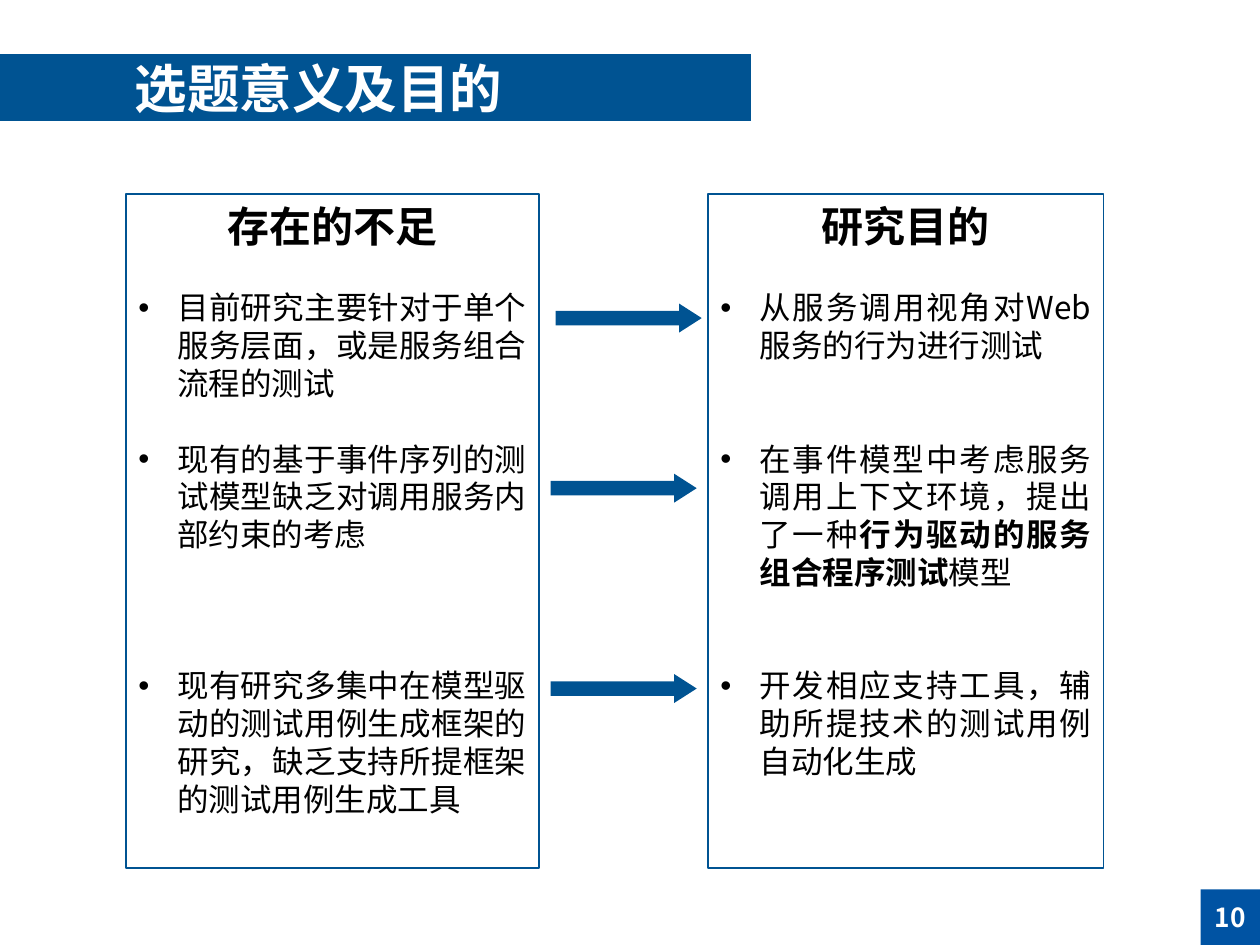
from pptx import Presentation
from pptx.dml.color import RGBColor
from pptx.enum.shapes import MSO_SHAPE
from pptx.enum.text import MSO_ANCHOR, PP_ALIGN
from pptx.oxml.ns import qn
from pptx.util import Inches, Pt
from lxml.etree import SubElement

BLUE, WHITE, BLACK = "005392", "FFFFFF", "000000"
SANS, TITLE = "Noto Sans CJK SC", "Noto Sans CJK JP"
LEAD = 1.2
BODY = 18

# Each point: blank lines left above it, then its (text, bold) runs.
FLAWS = [
    (1, [("目前研究主要针对于单个服务层面，或是服务组合流程的测试", False)]),
    (1, [("现有的基于事件序列的测试模型缺乏对调用服务内部约束的考虑", False)]),
    (3, [("现有研究多集中在模型驱动的测试用例生成框架的研究，"
          "缺乏支持所提框架的测试用例生成工具", False)]),
]
GOALS = [
    (1, [("从服务调用视角对Web服务的行为进行测试", False)]),
    (2, [("在事件模型中考虑服务调用上下文环境，提出了一种", False),
         ("行为驱动的服务组合程序测试", True),
         ("模型", False)]),
    (2, [("开发相应支持工具，辅助所提技术的测试用例自动化生成", False)]),
]


def color(code):
    return RGBColor.from_string(code)


def assign(target, values):
    for name, value in values.items():
        setattr(target, name, value)


def add_box(slide, kind, place, fill, line=None):
    box = slide.shapes.add_shape(kind, *map(Inches, place))
    box.shadow.inherit = False
    box.fill.solid()
    box.fill.fore_color.rgb = color(fill)
    if line:
        box.line.color.rgb = color(line)
        box.line.width = Pt(0.85)
    else:
        box.line.fill.background()
    return box


def set_frame(box, anchor, side, top):
    frame = box.text_frame
    assign(frame, {
        "word_wrap": True, "vertical_anchor": anchor,
        "margin_left": Inches(side), "margin_right": Inches(side),
        "margin_top": Inches(top), "margin_bottom": Inches(top),
    })
    return frame


def add_run(para, text, size, tint, bold, face=SANS):
    run = para.add_run()
    run.text = text
    assign(run.font, {"size": Pt(size), "bold": bold, "name": face})
    run.font.color.rgb = color(tint)
    SubElement(run.font._element, qn("a:ea"), typeface=face)


def set_bullet(para):
    props = para._p.get_or_add_pPr()
    props.set("marL", str(Inches(0.31)))
    props.set("indent", str(Inches(-0.31)))
    SubElement(props, qn("a:buFont"), typeface="Arial")
    SubElement(props, qn("a:buChar"), char="•")


def add_title(slide, text):
    box = add_box(slide, MSO_SHAPE.RECTANGLE, (0, 0.43, 5.96, 0.53), BLUE)
    frame = set_frame(box, MSO_ANCHOR.MIDDLE, 0.07, 0.04)
    frame.margin_left = Inches(1.07)
    para = frame.paragraphs[0]
    para.alignment = PP_ALIGN.LEFT
    add_run(para, text, 30, WHITE, True, TITLE)


def add_number(slide, text):
    box = add_box(slide, MSO_SHAPE.RECTANGLE, (9.53, 7.06, 0.47, 0.44), "0053A3")
    para = set_frame(box, MSO_ANCHOR.MIDDLE, 0.05, 0.05).paragraphs[0]
    para.alignment = PP_ALIGN.CENTER
    add_run(para, text, 15, WHITE, True)


def add_panel(slide, left, width, head, points):
    box = add_box(slide, MSO_SHAPE.RECTANGLE, (left, 1.54, width, 5.35), WHITE, BLUE)
    frame = set_frame(box, MSO_ANCHOR.TOP, 0.1, 0.05)
    para = frame.paragraphs[0]
    assign(para, {"alignment": PP_ALIGN.CENTER, "line_spacing": Pt(24 * LEAD)})
    add_run(para, head, 24, BLACK, True)
    for blanks, runs in points:
        para = frame.add_paragraph()
        assign(para, {
            "alignment": PP_ALIGN.JUSTIFY,
            "line_spacing": Pt(BODY * LEAD),
            "space_before": Pt(blanks * BODY * LEAD),
        })
        set_bullet(para)
        for text, bold in runs:
            add_run(para, text, BODY, BLACK, bold)


def add_arrow(slide, left, top):
    arrow = add_box(slide, MSO_SHAPE.RIGHT_ARROW, (left, top, 1.16, 0.23), BLUE)
    arrow.adjustments[0] = 0.5
    arrow.adjustments[1] = 0.78


def main():
    deck = Presentation()
    assign(deck, {"slide_width": Inches(10), "slide_height": Inches(7.5)})
    slide = deck.slides.add_slide(deck.slide_layouts[6])
    add_title(slide, "选题意义及目的")
    add_number(slide, "10")
    add_panel(slide, 1, 3.28, "存在的不足", FLAWS)
    add_panel(slide, 5.62, 3.14, "研究目的", GOALS)
    for left, top in ((4.41, 2.41), (4.37, 3.76), (4.37, 5.35)):
        add_arrow(slide, left, top)
    deck.save("out.pptx")


if __name__ == "__main__":
    main()
